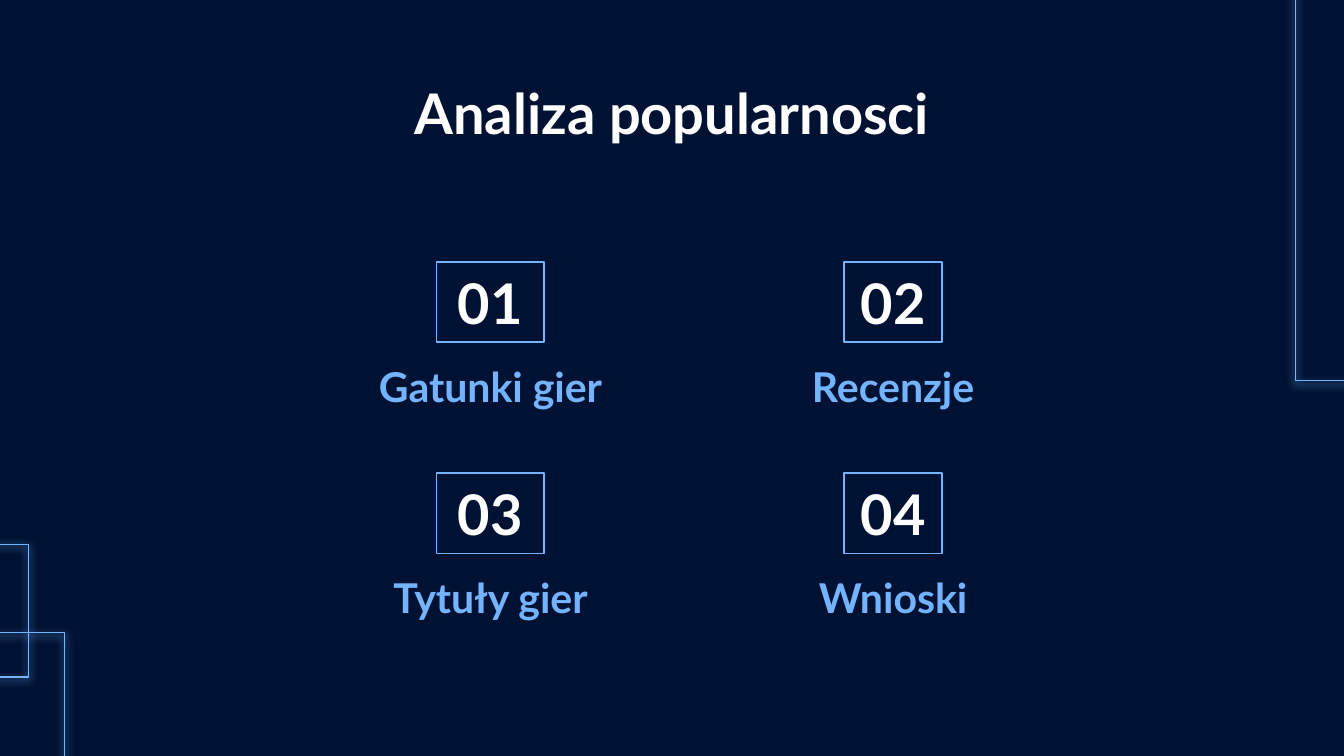
import pptx
import pptx.util
import pptx.dml.color
import pptx.enum.shapes
import pptx.enum.text
import pptx.oxml.ns
from lxml import etree

Cm = pptx.util.Cm
Pt = pptx.util.Pt
RGBColor = pptx.dml.color.RGBColor
ANCHOR = pptx.enum.text.MSO_ANCHOR

NAVY = RGBColor(0x00, 0x12, 0x33)
SKY = RGBColor(0x74, 0xB4, 0xFF)
WHITE = RGBColor(0xFF, 0xFF, 0xFF)

TITLE = "Analiza popularnosci"
SECTIONS = [
    [("01", "Gatunki gier"), ("02", "Recenzje")],
    [("03", "Tytuły gier"), ("04", "Wnioski")],
]

# Centimetres: left, top, width, height
GLOWING_FRAMES = [
    (-0.23, 11.96, 1.45, 2.51),
    (24.49, -0.86, 1.19, 8.05),
    (-0.91, 10.29, 1.45, 2.51),
]
TITLE_AREA = (2, 1.24, 21.4, 1.6)
COLUMNS = [
    {"centre": 9.27, "number_width": 2.03, "label_width": 6.4},
    {"centre": 16.88, "number_width": 1.85, "label_width": 5.82},
]
FIRST_ROW, ROW_STEP = 4.95, 3.99
BOX_HEIGHT, LABEL_OFFSET = 1.52, 1.63

HEADING = {"name": "Lato", "size": Pt(30), "bold": True, "color": WHITE}
LABEL = {"name": "Lato", "size": Pt(22), "bold": True, "color": SKY}


def add_frame(slide, area):
    shape = slide.shapes.add_shape(
        pptx.enum.shapes.MSO_SHAPE.RECTANGLE, *map(Cm, area))
    shape.shadow.inherit = False
    shape.fill.background()
    shape.line.color.rgb = SKY
    shape.line.width = Pt(0.75)
    return shape


def add_glow(shape):
    """Give the frame a soft blue shadow just below it."""
    qn = pptx.oxml.ns.qn
    effects = shape.element.spPr.find(qn("a:effectLst"))
    shadow = etree.SubElement(
        effects, qn("a:outerShdw"), blurRad=str(Pt(4.5)), dist=str(Pt(1.5)),
        dir="5400000", algn="bl", rotWithShape="0")
    etree.SubElement(shadow, qn("a:srgbClr"), val=str(SKY))


def write_text(shape, text, style, anchor=ANCHOR.TOP):
    frame = shape.text_frame
    frame.word_wrap = True
    frame.vertical_anchor = anchor
    for side in ("left", "top", "right", "bottom"):
        setattr(frame, f"margin_{side}", Cm(0.25))
    paragraph = frame.paragraphs[0]
    paragraph.alignment = pptx.enum.text.PP_ALIGN.CENTER
    run = paragraph.add_run()
    run.text = text
    for attribute, value in style.items():
        if attribute == "color":
            run.font.color.rgb = value
        else:
            setattr(run.font, attribute, value)


def add_text(slide, area, text, style):
    write_text(slide.shapes.add_textbox(*map(Cm, area)), text, style)


def centred_area(centre, top, width):
    return centre - width / 2, top, width, BOX_HEIGHT


def main():
    presentation = pptx.Presentation()
    presentation.slide_width = Cm(25.4)
    presentation.slide_height = Cm(14.29)
    slide = presentation.slides.add_slide(presentation.slide_layouts[6])
    slide.background.fill.solid()
    slide.background.fill.fore_color.rgb = NAVY

    for area in GLOWING_FRAMES:
        add_glow(add_frame(slide, area))

    add_text(slide, TITLE_AREA, TITLE, HEADING)

    for row, sections in enumerate(SECTIONS):
        top = FIRST_ROW + row * ROW_STEP
        for column, (number, label) in zip(COLUMNS, sections):
            centre = column["centre"]
            box = add_frame(
                slide, centred_area(centre, top, column["number_width"]))
            write_text(box, number, HEADING, ANCHOR.MIDDLE)
            label_area = centred_area(
                centre, top + LABEL_OFFSET, column["label_width"])
            add_text(slide, label_area, label, LABEL)

    presentation.save("out.pptx")


if __name__ == "__main__":
    main()
